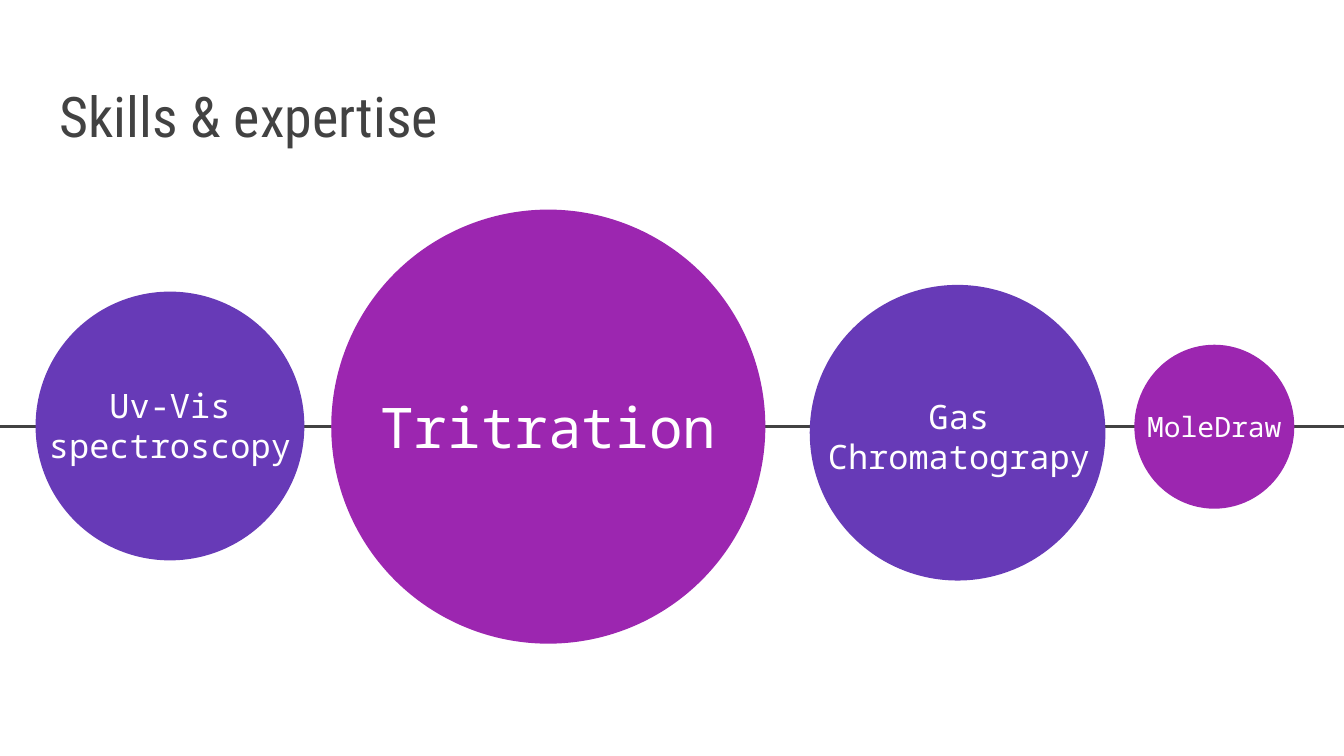
from dataclasses import dataclass

from pptx import Presentation
from pptx.dml.color import RGBColor
from pptx.enum.shapes import MSO_CONNECTOR, MSO_SHAPE
from pptx.enum.text import MSO_ANCHOR, PP_ALIGN
from pptx.oxml.ns import qn
from pptx.util import Pt
from lxml import etree

OVAL = MSO_SHAPE.OVAL
LINE = MSO_CONNECTOR.STRAIGHT
LEFT, CENTER = PP_ALIGN.LEFT, PP_ALIGN.CENTER
MIDDLE, BOTTOM = MSO_ANCHOR.MIDDLE, MSO_ANCHOR.BOTTOM
SCALE = 4572
WIDTH, HEIGHT = 2000, 1125
AXIS = 635
INSET = 20


@dataclass(frozen=True)
class Theme:
    dark: str = "424242"
    white: str = "FFFFFF"
    violet: str = "673AB7"
    purple: str = "9C26B0"
    head: str = "Roboto Condensed"
    mono: str = "Noto Sans Mono"
    large: int = 30
    normal: int = 18
    small: int = 15
    stroke: float = 1.5


THEME = Theme()

SKILLS = [
    ("Uv-Vis spectroscopy", THEME.normal, THEME.violet,
     (53, 434, 400, 400), (53, 546, 400, 174)),
    ("Tritration", THEME.large, THEME.purple,
     (493, 312, 646, 646), (493, 568, 646, 132)),
    ("Gas Chromatograpy", THEME.normal, THEME.violet,
     (1205, 424, 440, 440), (1207, 569, 440, 160)),
    ("MoleDraw", THEME.small, THEME.purple,
     (1688, 513, 238, 244), (1678, 568, 258, 132)),
]


def px(*sizes):
    return [size * SCALE for size in sizes]


def color(code):
    return RGBColor.from_string(code)


def add_text(slide, text, box, *, size, font=THEME.mono, tint=THEME.white,
             align=CENTER, anchor=MIDDLE):
    frame = slide.shapes.add_textbox(*px(*box)).text_frame
    frame.word_wrap = True
    frame.vertical_anchor = anchor
    inset = INSET * SCALE
    frame.margin_left = frame.margin_right = inset
    frame.margin_top = frame.margin_bottom = inset
    para = frame.paragraphs[0]
    para.alignment = align
    run = para.add_run()
    run.text = text
    run.font.name = font
    run.font.size = Pt(size)
    run.font.color.rgb = color(tint)


def add_circle(slide, box, fill):
    circle = slide.shapes.add_shape(OVAL, *px(*box))
    circle.shadow.inherit = False
    circle.fill.solid()
    circle.fill.fore_color.rgb = color(fill)
    circle.line.fill.background()


def add_line(slide, start, end):
    line = slide.shapes.add_connector(LINE, *px(*start, *end))
    line.line.color.rgb = color(THEME.dark)
    line.line.width = Pt(THEME.stroke)
    etree.SubElement(line._element.spPr, qn("a:effectLst"))


def main():
    deck = Presentation()
    deck.slide_width, deck.slide_height = px(WIDTH, HEIGHT)
    slide = deck.slides.add_slide(deck.slide_layouts[6])
    add_line(slide, (0, AXIS), (WIDTH, AXIS))
    add_text(slide, "Skills & expertise", (69, 82, 1864, 160),
             size=THEME.large, font=THEME.head, tint=THEME.dark,
             align=LEFT, anchor=BOTTOM)
    for name, size, fill, disc, label in SKILLS:
        add_circle(slide, disc, fill)
        add_text(slide, name, label, size=size)
    deck.save("out.pptx")


if __name__ == "__main__":
    main()
